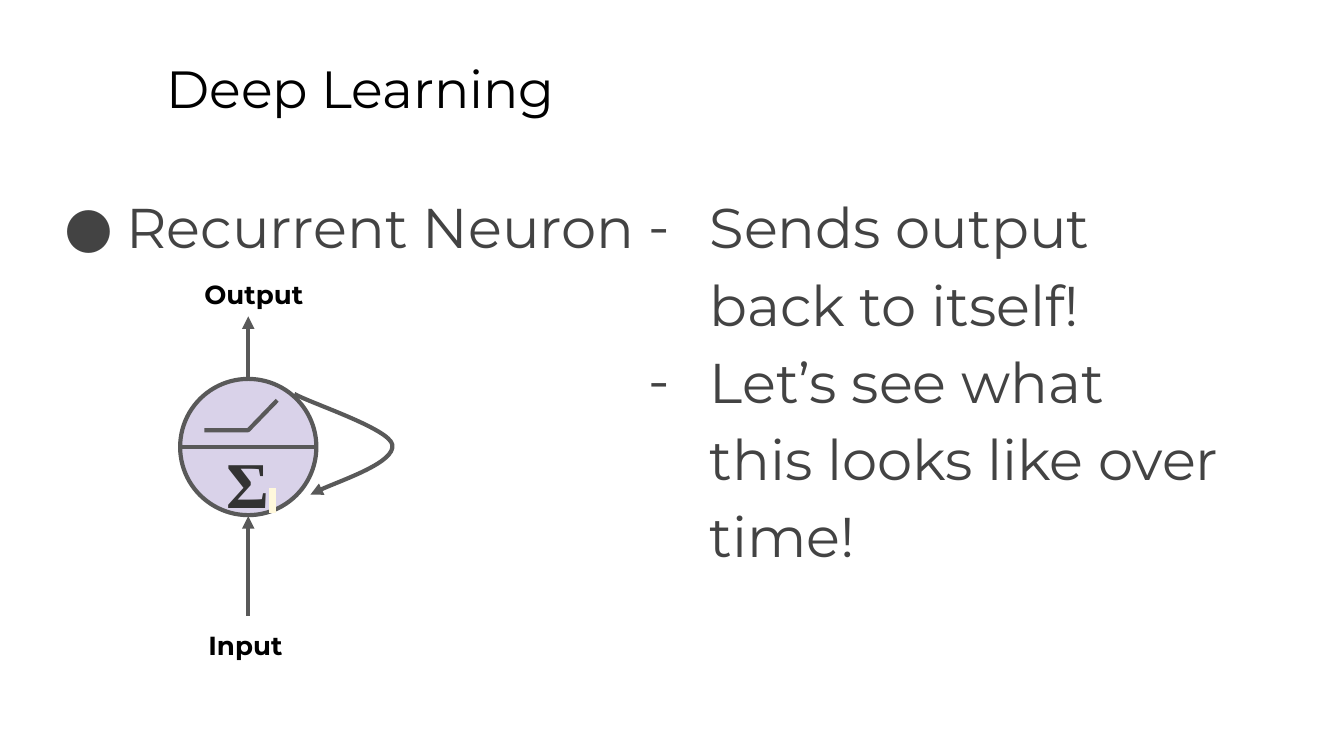
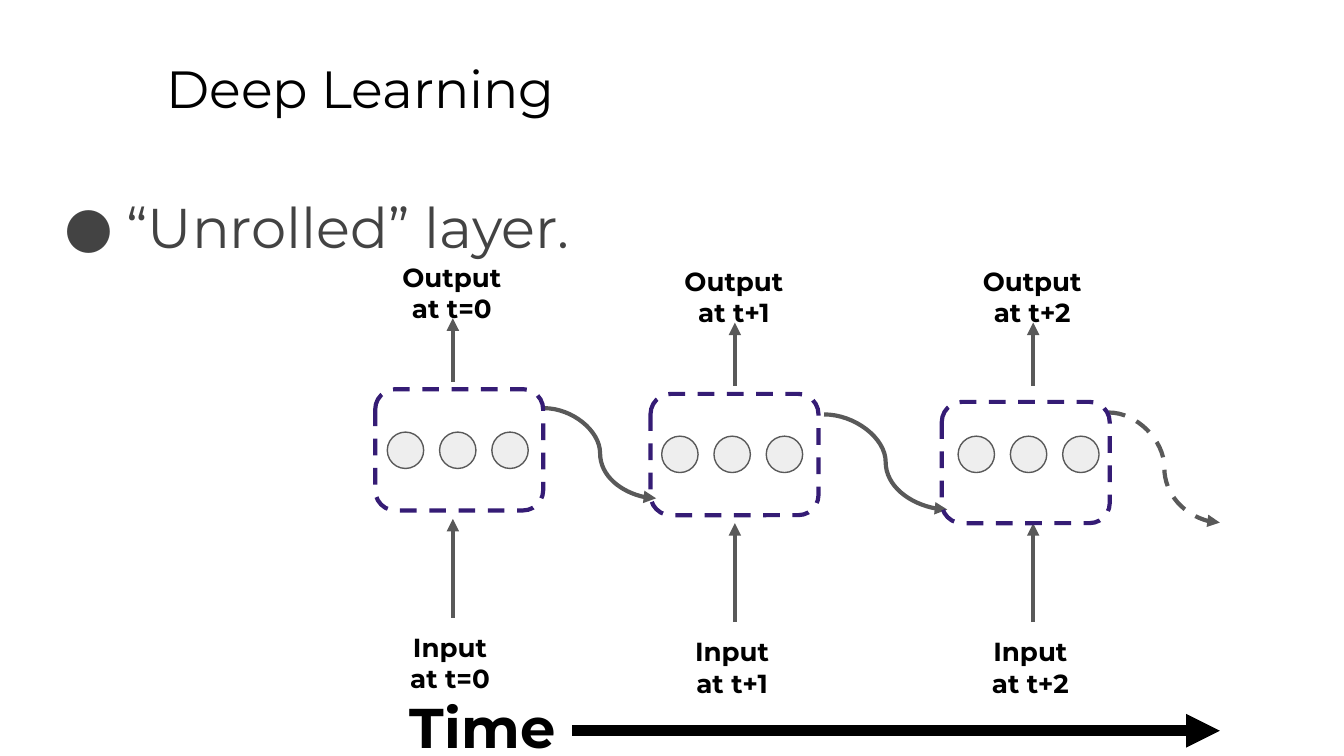
from lxml import etree
from pptx import Presentation
from pptx.dml.color import RGBColor
from pptx.enum.dml import MSO_LINE
from pptx.enum.shapes import MSO_CONNECTOR, MSO_SHAPE
from pptx.enum.text import MSO_ANCHOR, MSO_AUTO_SIZE, PP_ALIGN
from pptx.oxml.ns import qn
from pptx.util import Pt

BLACK = RGBColor(0x00, 0x00, 0x00)
INK = RGBColor(0x43, 0x43, 0x43)
SIGMA = RGBColor(0x33, 0x33, 0x33)
GREY = RGBColor(0x59, 0x59, 0x59)
PALE = RGBColor(0xEE, 0xEE, 0xEE)
LILAC = RGBColor(0xD9, 0xD2, 0xE9)
PURPLE = RGBColor(0x35, 0x1C, 0x75)
CREAM = RGBColor(0xFF, 0xF8, 0xDC)
FONT = "Montserrat"
LEFT, CENTER = PP_ALIGN.LEFT, PP_ALIGN.CENTER
TOP, MIDDLE = MSO_ANCHOR.TOP, MSO_ANCHOR.MIDDLE
STRAIGHT, CURVE = MSO_CONNECTOR.STRAIGHT, MSO_CONNECTOR.CURVE
OVAL, ROUND = MSO_SHAPE.OVAL, MSO_SHAPE.ROUNDED_RECTANGLE
DASH, FIXED = MSO_LINE.DASH, MSO_AUTO_SIZE.NONE


def write(item, text, box=None, size=14, color=BLACK, font=FONT, bold=False,
          align=LEFT, anchor=TOP, bullet=None):
    """Fill a text box or placeholder, one paragraph per line of text."""
    if box:
        item.left, item.top, item.width, item.height = map(Pt, box)
    frame = item.text_frame
    frame.word_wrap, frame.auto_size = True, FIXED
    frame.vertical_anchor = anchor
    frame.margin_left = frame.margin_right = Pt(7.2)
    frame.margin_top = frame.margin_bottom = Pt(7.2)
    frame.text = text
    for para in frame.paragraphs:
        para.alignment = align
        para.space_before = Pt(0)
        face = para.runs[0].font
        face.name, face.size, face.bold = font, Pt(size), bold
        face.color.rgb = color
        if bullet:
            para.line_spacing = 1.15
            props = para._p.get_or_add_pPr()
            props.set("marL", str(Pt(36)))
            props.set("indent", str(Pt(-33)))
            tint = etree.SubElement(props, qn("a:buClr"))
            etree.SubElement(tint, qn("a:srgbClr"), val=str(color))
            etree.SubElement(props, qn("a:buFont"), typeface=FONT)
            etree.SubElement(props, qn("a:buChar"), char=bullet)


def stroke(item, color=GREY, width=2.25, dash=False, head=False):
    """Style the line of a shape or connector and drop its shadow."""
    item.line.color.rgb = color
    item.line.width = Pt(width)
    if dash:
        item.line.dash_style = DASH
    props = item._element.spPr
    if head:
        etree.SubElement(props.find(qn("a:ln")), qn("a:tailEnd"), type="triangle")
    etree.SubElement(props, qn("a:effectLst"))


deck = Presentation()
deck.slide_width, deck.slide_height = Pt(720), Pt(405)
neuron = deck.slides.add_slide(deck.slide_layouts[3])
layer = deck.slides.add_slide(deck.slide_layouts[1])
for slide in (neuron, layer):
    write(slide.shapes.title, "Deep Learning", box=(82, 23, 613.5, 45.5), size=28)

lists = [
    (neuron, 1, "Recurrent Neuron", (24.5, 90.7, 324.5, 269), "●"),
    (neuron, 2, "Sends output back to itself!\nLet’s see what this looks like over time!",
     (337, 90.7, 324, 269), "-"),
    (layer, 1, "“Unrolled” layer.", (24.5, 90.7, 685.5, 61), "●"),
]
for slide, idx, text, box, mark in lists:
    write(slide.placeholders[idx], text, box=box, size=30, color=INK, bullet=mark)

# Slide 1: the recurrent neuron
shapes = neuron.shapes
circle = shapes.add_shape(OVAL, Pt(96.5), Pt(203), Pt(73), Pt(73))
circle.fill.solid()
circle.fill.fore_color.rgb = LILAC
stroke(circle)

for x1, y1, x2, y2, head in [
    (133, 203, 133, 169.5, True),
    (133, 330, 133, 276.5, True),
    (96.5, 239.5, 169.5, 239.5, False),
]:
    link = shapes.add_connector(STRAIGHT, Pt(x1), Pt(y1), Pt(x2), Pt(y2))
    if y1 == 203:
        link.begin_connect(circle, 0)
    stroke(link, head=head)

sigma = shapes.add_textbox(0, 0, 0, 0)
write(sigma, "Σ", box=(114, 235.5, 48, 45.5), size=35, color=SIGMA,
      font="Times New Roman", bold=True, anchor=MIDDLE)
space = sigma.text_frame.paragraphs[0].add_run()
space.text = " "
space.font.name, space.font.size = "DejaVu Sans", Pt(11.5)
space.font.color.rgb = SIGMA
glow = etree.Element(qn("a:highlight"))
etree.SubElement(glow, qn("a:srgbClr"), val=str(CREAM))
space.font._element.find(qn("a:latin")).addprevious(glow)

ramp = [(109.5, 230.5), (133, 230.5), (148.5, 214.5)]
loop = [(157.7, 211), (166.3, 216), (208.8, 229.7), (210.2, 238.3),
        (211.7, 247.7), (173.5, 260.6), (166.3, 265)]
for points, curved in [(ramp, False), (loop, True)]:
    start, *rest = [(Pt(x), Pt(y)) for x, y in points]
    pen = shapes.build_freeform(*start)
    pen.add_line_segments(rest, close=False)
    trace = pen.convert_to_shape()
    trace.fill.background()
    stroke(trace, head=curved)
    if curved:
        legs = list(trace._element.iter(qn("a:lnTo")))
        for i in range(0, len(legs), 3):
            bend = etree.Element(qn("a:cubicBezTo"))
            legs[i].addprevious(bend)
            for leg in legs[i:i + 3]:
                bend.append(leg[0])
                leg.getparent().remove(leg)

for text, x, y in [("Input", 96.5, 330), ("Output", 101, 142)]:
    write(shapes.add_textbox(0, 0, 0, 0), text, box=(x, y, 70, 26.5),
          bold=True, align=CENTER)

# Slide 2: the layer unrolled over time
shapes = layer.shapes
steps = [  # time, arrow x, drop, box corner, first dot corner
    ("\nat t=0", 242.6, 0, (201, 208.5), (207.5, 231.5)),
    (" at t+1", 393.7, 2.3, (348.5, 211), (354.5, 233.7)),
    (" at t+2", 553.5, 2.3, (504.5, 215.3), (513.3, 233.7)),
]
for time, mid, drop, _, _ in steps:
    for y1, y2 in [(204.5, 170.5), (331, 278)]:
        link = shapes.add_connector(STRAIGHT, Pt(mid), Pt(y1 + drop),
                                    Pt(mid), Pt(y2 + drop))
        stroke(link, head=True)
    for word, shift, y in [("Input", -36.5, 331), ("Output", -35.5, 132.7)]:
        text = word + (time if word == "Input" else time.replace("\n", " "))
        write(shapes.add_textbox(0, 0, 0, 0), text,
              box=(mid + shift, y + drop, 70, 26.5), bold=True, align=CENTER)

for x1, y1, x2, y2, dash in [
    (291.5, 218.7, 351.5, 267, False),
    (441.5, 222, 507.5, 273, False),
    (594, 221, 653.5, 280, True),
]:
    link = shapes.add_connector(CURVE, Pt(x1), Pt(y1), Pt(x2), Pt(y2))
    stroke(link, dash=dash, head=True)

write(shapes.add_textbox(0, 0, 0, 0), "Time", box=(212.5, 363.6, 126, 45.5),
      size=30, bold=True)

for _, _, _, (x, y), _ in steps:
    cell = shapes.add_shape(ROUND, Pt(x), Pt(y), Pt(90), Pt(65))
    cell.fill.background()
    stroke(cell, color=PURPLE, dash=True)

for _, _, _, _, (x, y) in steps:
    for i in range(3):
        dot = shapes.add_shape(OVAL, Pt(x + 28 * i), Pt(y), Pt(19.5), Pt(19.5))
        dot.fill.solid()
        dot.fill.fore_color.rgb = PALE
        stroke(dot, width=0.75)

axis = shapes.add_connector(STRAIGHT, Pt(306.5), Pt(391.5), Pt(653.5), Pt(391.5))
stroke(axis, color=BLACK, width=6, head=True)

deck.save("out.pptx")
